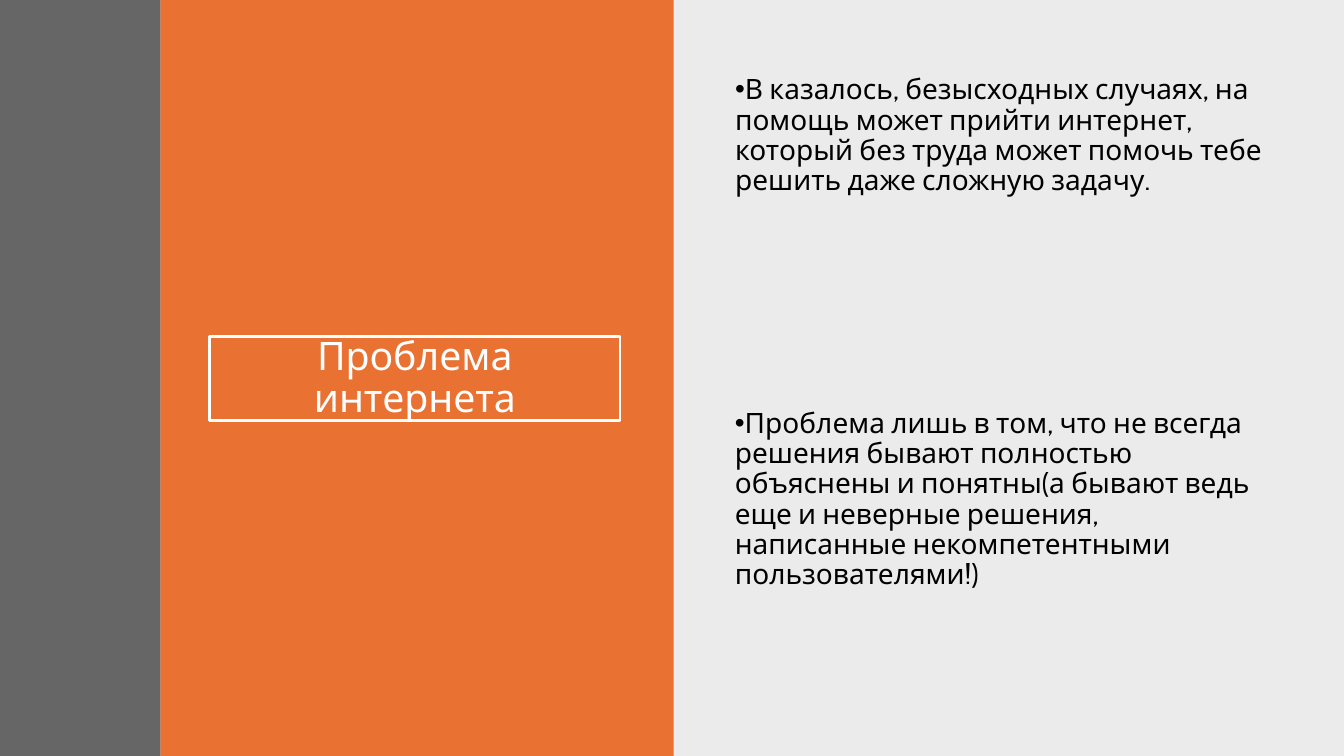
from lxml import etree
from pptx import Presentation
from pptx.dml.color import RGBColor
from pptx.enum import shapes, text
from pptx.oxml import ns
from pptx.util import Inches, Pt

COLORS = {"black": "000000", "white": "FFFFFF", "orange": "E97132", "gray": "404040"}
PANELS = [
    ((6.67, 0, 6.67, 7.5), "black", 8),
    ((1.59, 0, 5.09, 7.5), "orange", 100),
    ((0, 0, 1.59, 7.5), "gray", 80),
]
HELP = (
    "В казалось, безысходных случаях, на помощь может прийти интернет, "
    "который без труда может помочь тебе решить даже сложную задачу."
)
PROBLEM = (
    "Проблема лишь в том, что не всегда решения бывают полностью объяснены "
    "и понятны(а бывают ведь еще и неверные решения, написанные "
    "некомпетентными пользователями!)"
)
FRAME = {"word_wrap": True, "auto_size": text.MSO_AUTO_SIZE.NONE}
TITLE_FRAME = {**FRAME, "vertical_anchor": text.MSO_ANCHOR.MIDDLE}
BODY_FRAME = {**FRAME, "vertical_anchor": text.MSO_ANCHOR.TOP}
TITLE_PARA = {"alignment": text.PP_ALIGN.CENTER, "line_spacing": 0.9}
BODY_PARA = {
    "alignment": text.PP_ALIGN.LEFT,
    "line_spacing": 0.9,
    "space_before": Pt(0),
    "space_after": Pt(6),
}


def rgb(name):
    return RGBColor.from_string(COLORS[name])


def apply(obj, values):
    for name, value in values.items():
        setattr(obj, name, value)


def place(sp, box):
    apply(sp, dict(zip(("left", "top", "width", "height"), map(Inches, box))))


def add_panel(s, box, color, opacity):
    sp = s.shapes.add_shape(shapes.MSO_SHAPE.RECTANGLE, *map(Inches, box))
    sp.shadow.inherit = False
    sp.fill.solid()
    sp.fill.fore_color.rgb = rgb(color)
    sp.line.fill.background()
    if opacity < 100:
        fill = sp._element.spPr.find(ns.qn("a:solidFill"))
        etree.SubElement(fill[0], ns.qn("a:alpha"), val=str(opacity * 1000))


def write(sp, words, size, color, frame, para):
    tf = sp.text_frame
    apply(tf, frame)
    p = tf.paragraphs[0]
    apply(p, para)
    r = p.add_run()
    r.text = words
    apply(r.font, {"name": "Cabin", "size": Pt(size)})
    r.font.color.rgb = rgb(color)
    return p


def write_bullet(sp, words):
    p = write(sp, words, 20, "black", BODY_FRAME, BODY_PARA)
    pPr = p._p.get_or_add_pPr()
    pPr.set("marL", "0")
    pPr.set("indent", str(-Inches(0.25)))
    etree.SubElement(pPr, ns.qn("a:buFont"), typeface="Arial")
    etree.SubElement(pPr, ns.qn("a:buChar"), char="•")


def main():
    prs = Presentation()
    prs.slide_width, prs.slide_height = Inches(13.33), Inches(7.5)
    s = prs.slides.add_slide(prs.slide_layouts[1])
    title, body = s.shapes.title, s.placeholders[1]

    for panel in PANELS:
        add_panel(s, *panel)
    for sp in (title, body):
        s.shapes._spTree.append(sp._element)

    place(title, (2.08, 3.34, 4.07, 0.83))
    title.line.color.rgb = rgb("white")
    title.line.width = Pt(2)
    write(title, "Проблема интернета", 28, "white", TITLE_FRAME, TITLE_PARA)

    place(body, (7.19, 0.7, 5.53, 2.79))
    write_bullet(body, HELP)
    note = s.shapes.add_textbox(*map(Inches, (7.19, 4.01, 5.53, 2.79)))
    write_bullet(note, PROBLEM)

    prs.save("out.pptx")


if __name__ == "__main__":
    main()
